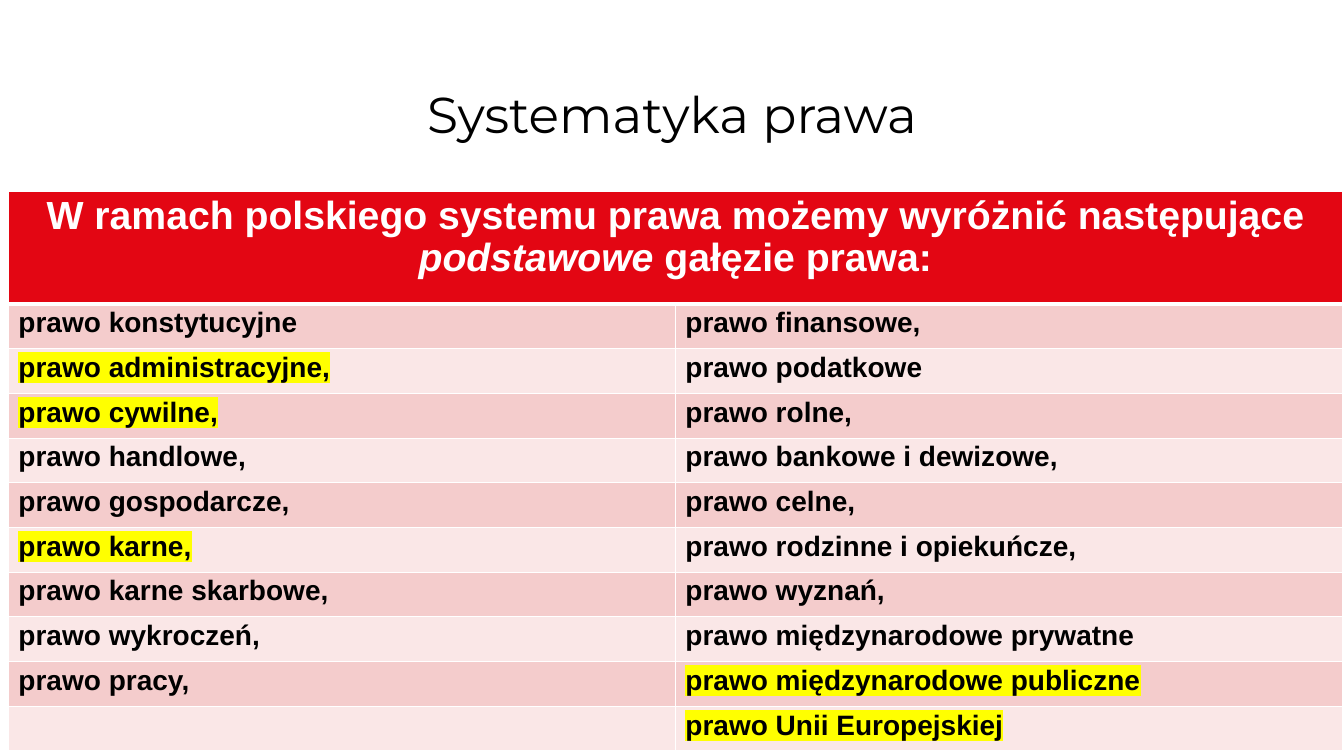
import pptx
import pptx.util
import pptx.dml.color
import pptx.enum.text
import pptx.oxml.ns
import lxml.etree

Pt = pptx.util.Pt
qn = pptx.oxml.ns.qn
ALIGN = pptx.enum.text.PP_ALIGN
MIDDLE = pptx.enum.text.MSO_ANCHOR.MIDDLE


def rgb(value):
    return pptx.dml.color.RGBColor.from_string(value)


def add_run(p, text, color, highlight=None, **fmt):
    r = p.add_run()
    r.text = text
    for name, value in fmt.items():
        setattr(r.font, name, value)
    r.font.color.rgb = rgb(color)
    if highlight:
        mark = lxml.etree.Element(qn("a:highlight"))
        lxml.etree.SubElement(mark, qn("a:srgbClr"), val=highlight)
        r.font.fill._xPr.find(qn("a:solidFill")).addnext(mark)


prs = pptx.Presentation()
prs.slide_width, prs.slide_height = Pt(960), Pt(540)
s = prs.slides.add_slide(prs.slide_layouts[5])

title = s.shapes.title
box = {"left": 66, "top": 28.8, "width": 828, "height": 104.4}
for name, value in box.items():
    setattr(title, name, Pt(value))
tf = title.text_frame
tf.word_wrap = True
tf.vertical_anchor = MIDDLE
p = tf.paragraphs[0]
p.alignment = ALIGN.CENTER
add_run(p, "Systematyka prawa", "000000", name="Montserrat", size=Pt(36))

header = [
    ("W ramach polskiego systemu prawa możemy wyróżnić następujące ", False),
    ("podstawowe", True),
    (" gałęzie prawa:", False),
]
branches = [
    ("prawo konstytucyjne", "prawo finansowe,"),
    ("prawo administracyjne,", "prawo podatkowe"),
    ("prawo cywilne,", "prawo rolne,"),
    ("prawo handlowe,", "prawo bankowe i dewizowe,"),
    ("prawo gospodarcze,", "prawo celne,"),
    ("prawo karne,", "prawo rodzinne i opiekuńcze,"),
    ("prawo karne skarbowe,", "prawo wyznań,"),
    ("prawo wykroczeń,", "prawo międzynarodowe prywatne"),
    ("prawo pracy,", "prawo międzynarodowe publiczne"),
    ("", "prawo Unii Europejskiej"),
]
highlighted = {
    "prawo administracyjne,",
    "prawo cywilne,",
    "prawo karne,",
    "prawo międzynarodowe publiczne",
    "prawo Unii Europejskiej",
}

header_height, row_height, col_width = 80.4, 31.92, 476.4
rows = len(branches) + 1
table = s.shapes.add_table(
    rows, 2, Pt(6), Pt(136.8), Pt(2 * col_width),
    Pt(header_height + row_height * len(branches)),
).table
for col in table.columns:
    col.width = Pt(col_width)
for i, row in enumerate(table.rows):
    row.height = Pt(row_height if i else header_height)
    for cell in row.cells:
        cell.fill.solid()
        cell.fill.fore_color.rgb = rgb(
            "E30613" if i == 0 else "F4CCCC" if i % 2 else "FAE7E7")
        widths = {"L": 1, "R": 1, "T": 3 if i == 1 else 1, "B": 1 if i else 3}
        tcPr = cell._tc.get_or_add_tcPr()
        for k, (side, width) in enumerate(widths.items()):
            ln = lxml.etree.Element(qn("a:ln" + side), w=str(Pt(width)))
            fill = lxml.etree.SubElement(ln, qn("a:solidFill"))
            lxml.etree.SubElement(fill, qn("a:srgbClr"), val="FFFFFF")
            tcPr.insert(k, ln)

table.cell(0, 0).merge(table.cell(0, 1))
p = table.cell(0, 0).text_frame.paragraphs[0]
p.alignment = ALIGN.CENTER
p.line_spacing = 0.95
for text, italic in header:
    add_run(p, text, "FFFFFF", name="Arial", size=Pt(28), bold=True, italic=italic)

for i, pair in enumerate(branches, 1):
    for j, text in enumerate(pair):
        if text:
            p = table.cell(i, j).text_frame.paragraphs[0]
            p.line_spacing = 0.95
            add_run(p, text, "000000", "FFFF00" if text in highlighted else None,
                    name="Arial", size=Pt(20), bold=True)

prs.save("out.pptx")
